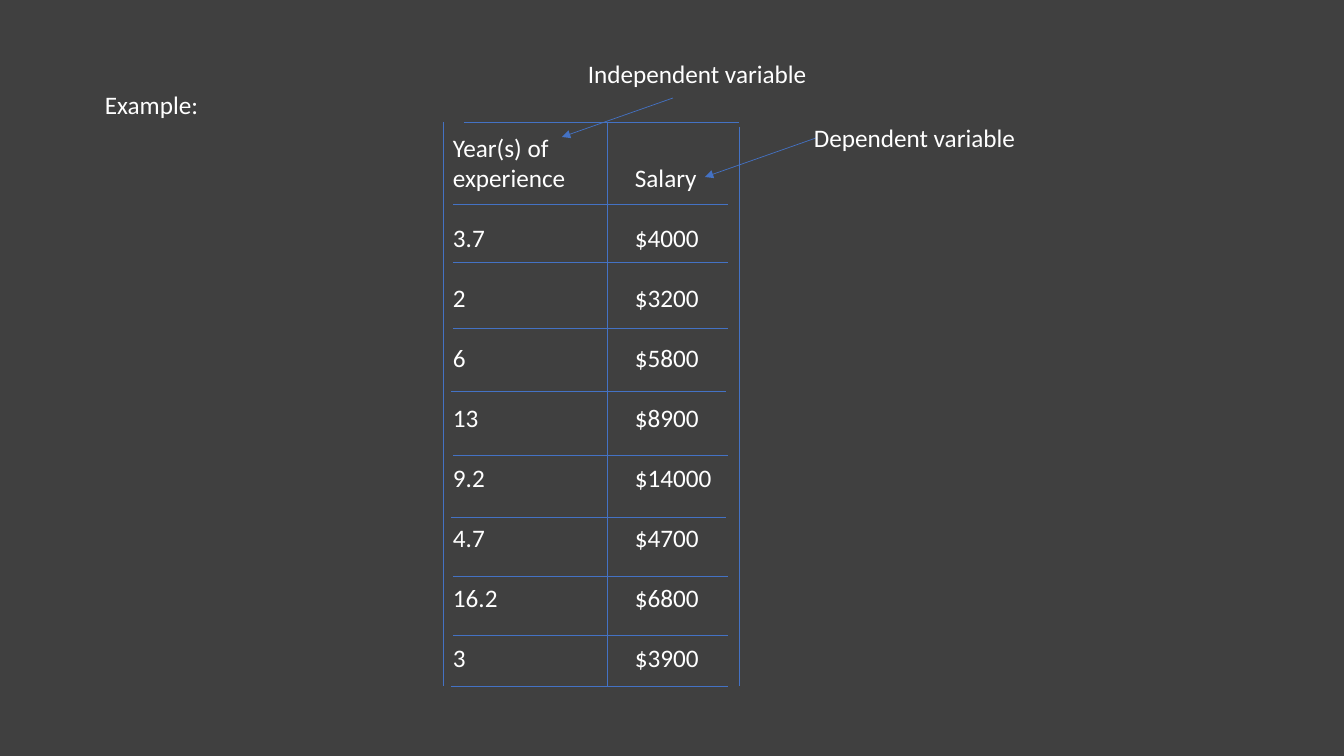
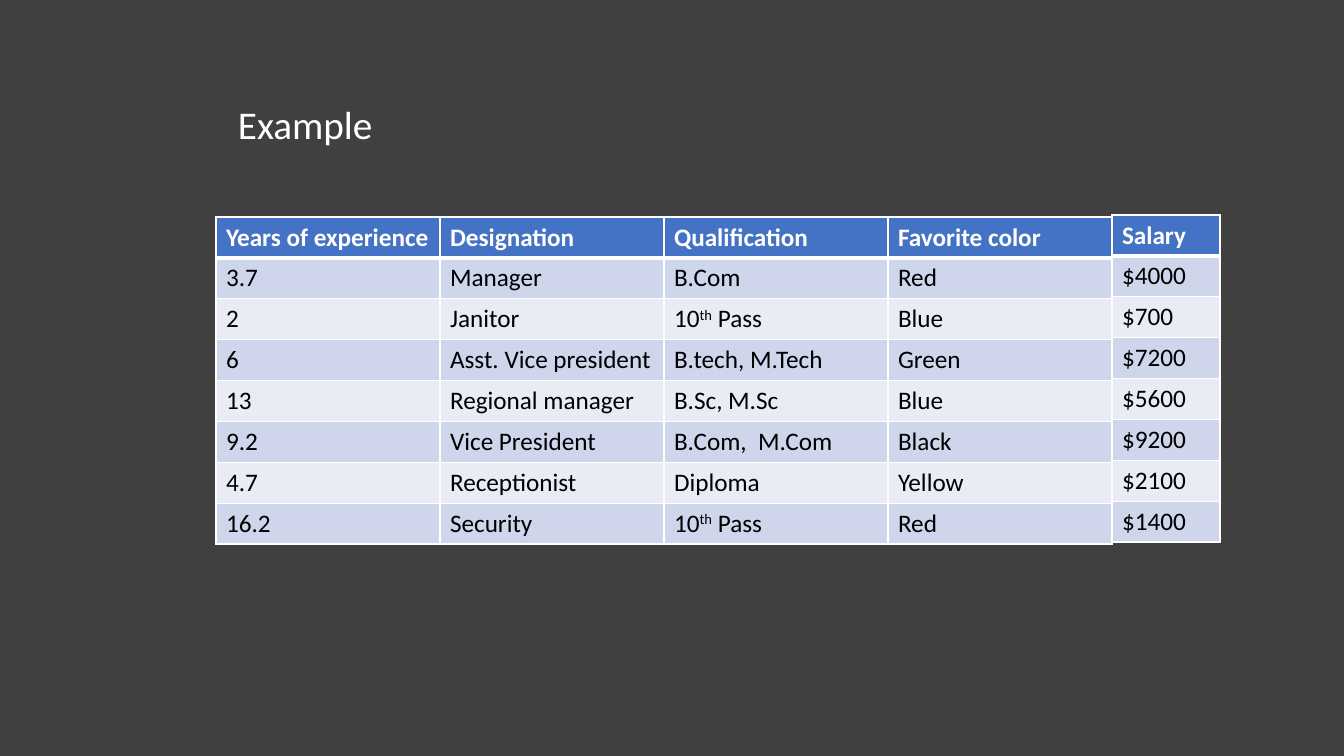
from dataclasses import dataclass

from lxml import etree
from pptx import Presentation
from pptx.dml.color import RGBColor
from pptx.enum.shapes import MSO_CONNECTOR
from pptx.enum.text import MSO_AUTO_SIZE
from pptx.oxml.ns import qn
from pptx.util import Emu, Pt

STRAIGHT = MSO_CONNECTOR.STRAIGHT
FIT_SHAPE = MSO_AUTO_SIZE.SHAPE_TO_FIT_TEXT
PIXEL = 914400 / 100.8
BLANK_LAYOUT = 6


@dataclass(frozen=True)
class Theme:
    """Colours, font and sizes shared by the slides."""
    background: str = "404040"
    light: str = "FFFFFF"
    dark: str = "000000"
    accent: str = "4472C4"
    bands: tuple = ("CFD5EA", "E9EBF5")
    font: str = "Calibri"
    body: int = 18
    title: int = 28
    list_gap: float = 21.3
    line: float = 0.5
    border: int = 1
    header_border: int = 3


THEME = Theme()

EXPERIENCE = ["Year(s) of experience", "3.7", "2", "6", "13", "9.2", "4.7", "16.2", "3"]
SALARY = ["Salary", "$4000", "$3200", "$5800", "$8900", "$14000", "$4700", "$6800", "$3900"]
ROW_LINES = [  # left, right, y
    (464, 739, 122), (453, 728, 204), (453, 728, 262), (453, 728, 328), (451, 726, 391),
    (453, 728, 455), (451, 726, 517), (453, 728, 576), (453, 728, 635), (451, 728, 686),
]
COLUMN_LINES = [(443, 122), (607, 123), (739, 127)]  # x, top
GRID_BOTTOM = 686

# Text between carets is superscript.
STAFF = [
    ["Years of experience", "Designation", "Qualification", "Favorite color"],
    ["3.7", "Manager", "B.Com", "Red"],
    ["2", "Janitor", "10^th^ Pass", "Blue"],
    ["6", "Asst. Vice president", "B.tech, M.Tech", "Green"],
    ["13", "Regional manager", "B.Sc, M.Sc", "Blue"],
    ["9.2", "Vice President", "B.Com,  M.Com", "Black"],
    ["4.7", "Receptionist", "Diploma", "Yellow"],
    ["16.2", "Security", "10^th^ Pass", "Red"],
]
STAFF_SALARY = [["Salary"], ["$4000"], ["$700"], ["$7200"], ["$5600"], ["$9200"],
                ["$2100"], ["$1400"]]


def px(*lengths):
    """Turn pixels into a list of EMU lengths."""
    return [Emu(round(length * PIXEL)) for length in lengths]


def rgb(colour):
    """Turn a hex string into a colour."""
    return RGBColor.from_string(colour)


def write(para, text, size=THEME.body, colour=THEME.light, bold=False):
    """Fill a paragraph, raising the parts between carets."""
    font = para.font
    font.name, font.size, font.bold = THEME.font, Pt(size), bold
    font.color.rgb = rgb(colour)
    for index, part in enumerate(text.split("^")):
        span = para.add_run()
        span.text = part
        if index % 2:
            span.font._element.set("baseline", "30000")


def add_text(page, area, lines, size=THEME.body, wrap=False):
    """Add a text box with one spaced paragraph per line."""
    frame = page.shapes.add_textbox(*px(*area)).text_frame
    frame.word_wrap = wrap
    frame.auto_size = FIT_SHAPE
    for index, line in enumerate(lines):
        para = frame.add_paragraph() if index else frame.paragraphs[0]
        if index:
            para.space_before = Pt(THEME.list_gap)
        write(para, line, size)


def add_line(page, start, end, arrow=False):
    """Add a thin accent line, with an arrowhead at its end if asked."""
    line = page.shapes.add_connector(STRAIGHT, *px(*start, *end))
    line.line.color.rgb = rgb(THEME.accent)
    line.line.width = Pt(THEME.line)
    if arrow:
        etree.SubElement(line.line._get_or_add_ln(), qn("a:tailEnd"), type="triangle")
    etree.SubElement(line._element.spPr, qn("a:effectLst"))


def set_borders(cell, top, bottom):
    """Draw the four borders of a cell, with widths in points."""
    properties = cell._tc.get_or_add_tcPr()
    sides = {"L": THEME.border, "R": THEME.border, "T": top, "B": bottom}
    for index, (side, width) in enumerate(sides.items()):
        border = etree.Element(qn("a:ln" + side), w=str(Pt(width)))
        fill = etree.SubElement(border, qn("a:solidFill"))
        etree.SubElement(fill, qn("a:srgbClr"), val=THEME.light)
        properties.insert(index, border)


def add_banded_table(page, left, top, column_width, rows, row_height=40):
    """Add a table with a header row and banded body rows."""
    columns = len(rows[0])
    area = px(left, top, column_width * columns, row_height * len(rows))
    table = page.shapes.add_table(len(rows), columns, *area).table
    table.horz_banding = False
    for column in table.columns:
        column.width = px(column_width)[0]
    for row_index, texts in enumerate(rows):
        table.rows[row_index].height = px(row_height)[0]
        header = row_index == 0
        fill = THEME.accent if header else THEME.bands[(row_index - 1) % 2]
        above = THEME.header_border if row_index == 1 else THEME.border
        below = THEME.header_border if header else THEME.border
        for column_index, text in enumerate(texts):
            cell = table.cell(row_index, column_index)
            cell.fill.solid()
            cell.fill.fore_color.rgb = rgb(fill)
            set_borders(cell, above, below)
            write(cell.text_frame.paragraphs[0], text,
                  colour=THEME.light if header else THEME.dark, bold=header)


def add_page(deck):
    """Add a blank slide."""
    return deck.slides.add_slide(deck.slide_layouts[BLANK_LAYOUT])


def build_variables(deck):
    """Build the slide that names the two variables."""
    page = add_page(deck)
    add_text(page, (443, 127, 146, 559), EXPERIENCE, wrap=True)
    add_text(page, (625, 157, 205, 529), SALARY, wrap=True)
    for left, right, y in ROW_LINES:
        add_line(page, (left, y), (right, y))
    for x, top in COLUMN_LINES:
        add_line(page, (x, top), (x, GRID_BOTTOM))
    add_text(page, (95, 84, 236, 40), ["Example:"], wrap=True)
    add_line(page, (816, 138), (705, 177), arrow=True)
    add_line(page, (673, 98), (562, 137), arrow=True)
    add_text(page, (804, 117, 224, 40), ["Dependent variable"])
    add_text(page, (578, 53, 242, 40), ["Independent variable"])


def build_staff(deck):
    """Build the slide with the staff and salary tables."""
    page = add_page(deck)
    add_banded_table(page, 216, 217, 224, STAFF)
    add_banded_table(page, 1112, 215, 108, STAFF_SALARY)
    add_text(page, (228, 95, 156, 57), ["Example"], THEME.title)


def main():
    """Build and save the deck."""
    deck = Presentation()
    deck.slide_width, deck.slide_height = px(1344, 756)
    background = deck.slide_master.background.fill
    background.solid()
    background.fore_color.rgb = rgb(THEME.background)
    build_variables(deck)
    build_staff(deck)
    deck.save("out.pptx")


main()
